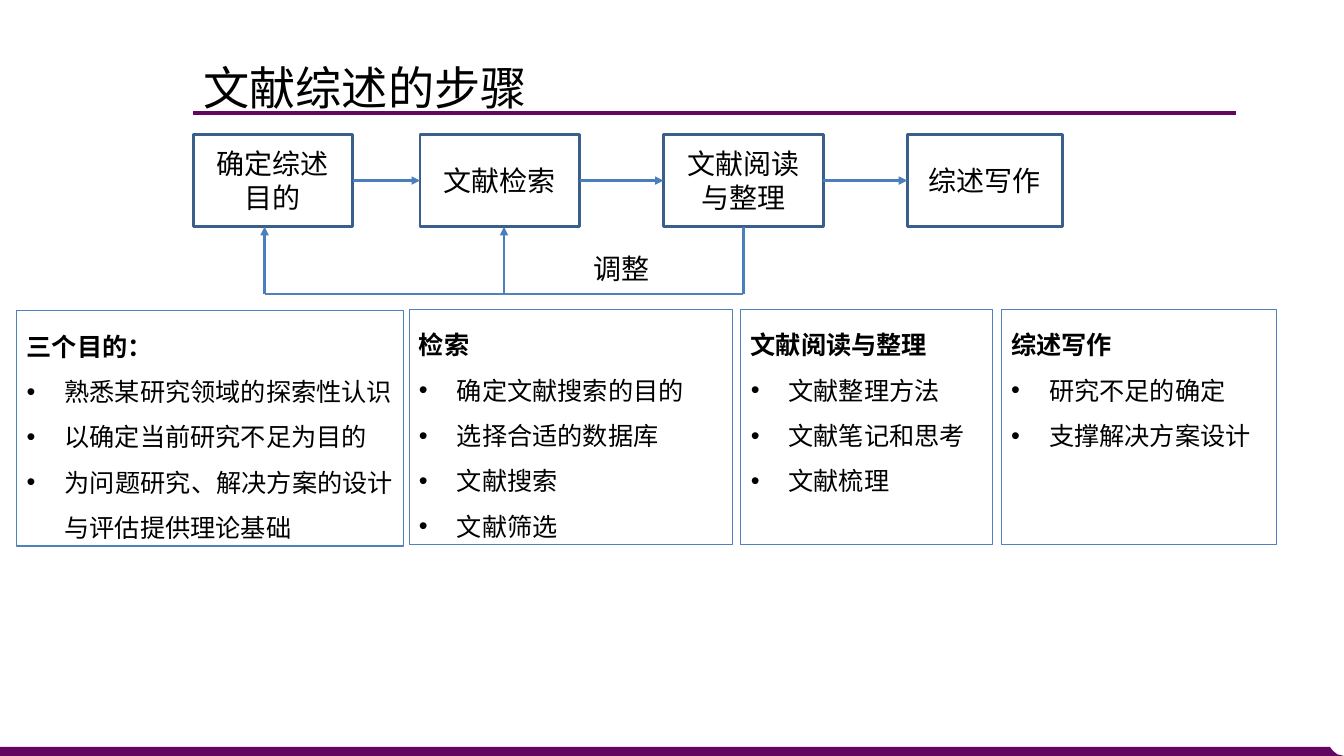
from dataclasses import dataclass

from lxml import etree
from pptx import Presentation
from pptx.dml.color import RGBColor
from pptx.enum.shapes import MSO_CONNECTOR, MSO_SHAPE
from pptx.enum.text import MSO_ANCHOR, PP_ALIGN
from pptx.oxml.ns import qn
from pptx.util import Emu, Inches, Pt

STRAIGHT = MSO_CONNECTOR.STRAIGHT
RECTANGLE = MSO_SHAPE.RECTANGLE
TOP, MIDDLE = MSO_ANCHOR.TOP, MSO_ANCHOR.MIDDLE
LEFT, CENTER, JUSTIFY = PP_ALIGN.LEFT, PP_ALIGN.CENTER, PP_ALIGN.JUSTIFY
SIDE_LEFT, SIDE_BOTTOM, SIDE_RIGHT = 1, 2, 3
TITLE_ONLY = 5
COLUMNS, ROWS = 160, 90
WIDTH, HEIGHT = Inches(COLUMNS / 12), Inches(ROWS / 12)


@dataclass(frozen=True)
class Theme:
    font: str = "Noto Sans CJK SC"
    ink: str = "000000"
    band: str = "63065F"
    step_line: str = "3A5F8C"
    arrow: str = "4B7EBC"
    panel_line: str = "4F81BD"
    title_size: float = 33
    title_leading: float = 42
    step_size: float = 20
    step_leading: float = 24
    panel_size: float = 18
    panel_leading: float = 32.4
    bullet_indent: float = 27


@dataclass(frozen=True)
class Box:
    """A region in columns and rows of the slide grid."""
    left: float
    top: float
    width: float
    height: float

    @property
    def right(self):
        return self.left + self.width

    @property
    def bottom(self):
        return self.top + self.height

    def emu(self):
        return across(self.left), down(self.top), across(self.width), down(self.height)


THEME = Theme()
# text, left column and width of each step
STEPS = [("确定综述目的", 23, 19), ("文献检索", 50, 19),
         ("文献阅读与整理", 79, 19), ("综述写作", 108, 18.5)]
# heading, points, left column, top row and width of each panel
PANELS = [
    ("三个目的：", ["熟悉某研究领域的探索性认识", "以确定当前研究不足为目的",
                "为问题研究、解决方案的设计与评估提供理论基础"], 2, 37, 46),
    ("检索", ["确定文献搜索的目的", "选择合适的数据库", "文献搜索", "文献筛选"],
     48.7, 36.85, 38.5),
    ("文献阅读与整理", ["文献整理方法", "文献笔记和思考", "文献梳理"], 88.2, 36.85, 30),
    ("综述写作", ["研究不足的确定", "支撑解决方案设计"], 119.2, 36.85, 32.8),
]


def across(columns):
    return Emu(round(WIDTH * columns / COLUMNS))


def down(rows):
    return Emu(round(HEIGHT * rows / ROWS))


def colour(value):
    return RGBColor.from_string(value)


def write(para, text, *, size, leading, align=LEFT, bold=False, bullet=False):
    para.alignment = align
    para.line_spacing = Pt(leading)
    para.space_before = para.space_after = Pt(0)
    if bullet:
        properties = para._p.get_or_add_pPr()
        indent = Pt(THEME.bullet_indent)
        properties.set("marL", str(indent))
        properties.set("indent", str(-indent))
        etree.SubElement(properties, qn("a:buFont")).set("typeface", "Arial")
        etree.SubElement(properties, qn("a:buChar")).set("char", "•")
    span = para.add_run()
    span.text = text
    span.font.name = THEME.font
    span.font.size = Pt(size)
    span.font.bold = bold
    span.font.color.rgb = colour(THEME.ink)
    etree.SubElement(span._r.get_or_add_rPr(), qn("a:ea")).set("typeface", THEME.font)


def add_outline(page, box, line, weight, anchor):
    frame = page.shapes.add_shape(RECTANGLE, *box.emu())
    frame.shadow.inherit = False
    frame.fill.background()
    frame.line.color.rgb = colour(line)
    frame.line.width = Pt(weight)
    frame.text_frame.word_wrap = True
    frame.text_frame.vertical_anchor = anchor
    return frame


def add_line(page, start, end, *, line=THEME.arrow, weight=2, arrow=False):
    """Draw a line between two (column, row) points, with any arrowhead at the end."""
    link = page.shapes.add_connector(STRAIGHT, across(start[0]), down(start[1]),
                                     across(end[0]), down(end[1]))
    link.line.color.rgb = colour(line)
    link.line.width = Pt(weight)
    if arrow:
        etree.SubElement(link.line._get_or_add_ln(), qn("a:tailEnd")).set("type", "triangle")
    etree.SubElement(link._element.spPr, qn("a:effectLst"))
    return link


def add_title(page, box):
    title = page.shapes.title
    title.left, title.top, title.width, title.height = box.emu()
    title.text_frame.word_wrap = True
    title.text_frame.vertical_anchor = TOP
    write(title.text_frame.paragraphs[0], "文献综述的步骤",
          size=THEME.title_size, leading=THEME.title_leading)
    rule_row = box.bottom - 0.45
    add_line(page, (box.left, rule_row), (147.1, rule_row), line=THEME.band, weight=2.25)


def add_footer(page, box):
    """Draw the bottom band, whose right end curves down to the slide corner."""
    curve = [(box.right - 1.7, box.top), (box.right - 1.3, box.top + 0.5),
             (box.right - 0.8, box.top + 0.9), (box.right, box.bottom)]
    points = [(across(x), down(y)) for x, y in curve + [(box.left, box.bottom)]]
    builder = page.shapes.build_freeform(across(box.left), down(box.top))
    builder.add_line_segments(points, close=True)
    band = builder.convert_to_shape()
    band.shadow.inherit = False
    band.fill.solid()
    band.fill.fore_color.rgb = colour(THEME.band)
    band.line.fill.background()


def add_step(page, box, text):
    step = add_outline(page, box, THEME.step_line, 2, MIDDLE)
    write(step.text_frame.paragraphs[0], text, size=THEME.step_size,
          leading=THEME.step_leading, align=CENTER)
    return step


def add_flow(page, top, height):
    boxes = [Box(left, top, width, height) for _, left, width in STEPS]
    steps = [add_step(page, box, text) for box, (text, _, _) in zip(boxes, STEPS)]
    middle = top + height / 2
    for index in range(len(steps) - 1):
        link = add_line(page, (boxes[index].right, middle),
                        (boxes[index + 1].left, middle), arrow=True)
        link.begin_connect(steps[index], SIDE_RIGHT)
        link.end_connect(steps[index + 1], SIDE_LEFT)
    add_feedback(page, steps[2], boxes[2], (31.5, 60))


def add_feedback(page, source, source_box, target_columns):
    """Lead from the foot of the source step back up to the earlier steps."""
    start = source_box.left + source_box.width / 2
    foot = source_box.bottom
    turn = foot + 8
    add_line(page, (start, foot), (start, turn)).begin_connect(source, SIDE_BOTTOM)
    add_line(page, (start, turn), (min(target_columns), turn), line=THEME.panel_line)
    for column in target_columns:
        add_line(page, (column, turn), (column, foot), arrow=True)
    label = page.shapes.add_textbox(*Box(68, foot + 2.5, 12, 5).emu())
    label.text_frame.word_wrap = True
    label.text_frame.vertical_anchor = MIDDLE
    write(label.text_frame.paragraphs[0], "调整", size=THEME.step_size,
          leading=THEME.step_leading, align=CENTER)


def add_panel(page, box, heading, points):
    text_frame = add_outline(page, box, THEME.panel_line, 0.75, TOP).text_frame
    body = {"size": THEME.panel_size, "leading": THEME.panel_leading, "align": JUSTIFY}
    write(text_frame.paragraphs[0], heading, bold=True, **body)
    for point in points:
        write(text_frame.add_paragraph(), point, bullet=True, **body)


def main():
    deck = Presentation()
    deck.slide_width, deck.slide_height = WIDTH, HEIGHT
    page = deck.slides.add_slide(deck.slide_layouts[TITLE_ONLY])
    add_footer(page, Box(0, 88.9, COLUMNS, 1.1))
    add_title(page, Box(23, 6, 65, 7.9))
    add_flow(page, 16, 11)
    for heading, points, left, top, width in PANELS:
        add_panel(page, Box(left, top, width, 28), heading, points)
    deck.save("out.pptx")


if __name__ == "__main__":
    main()
